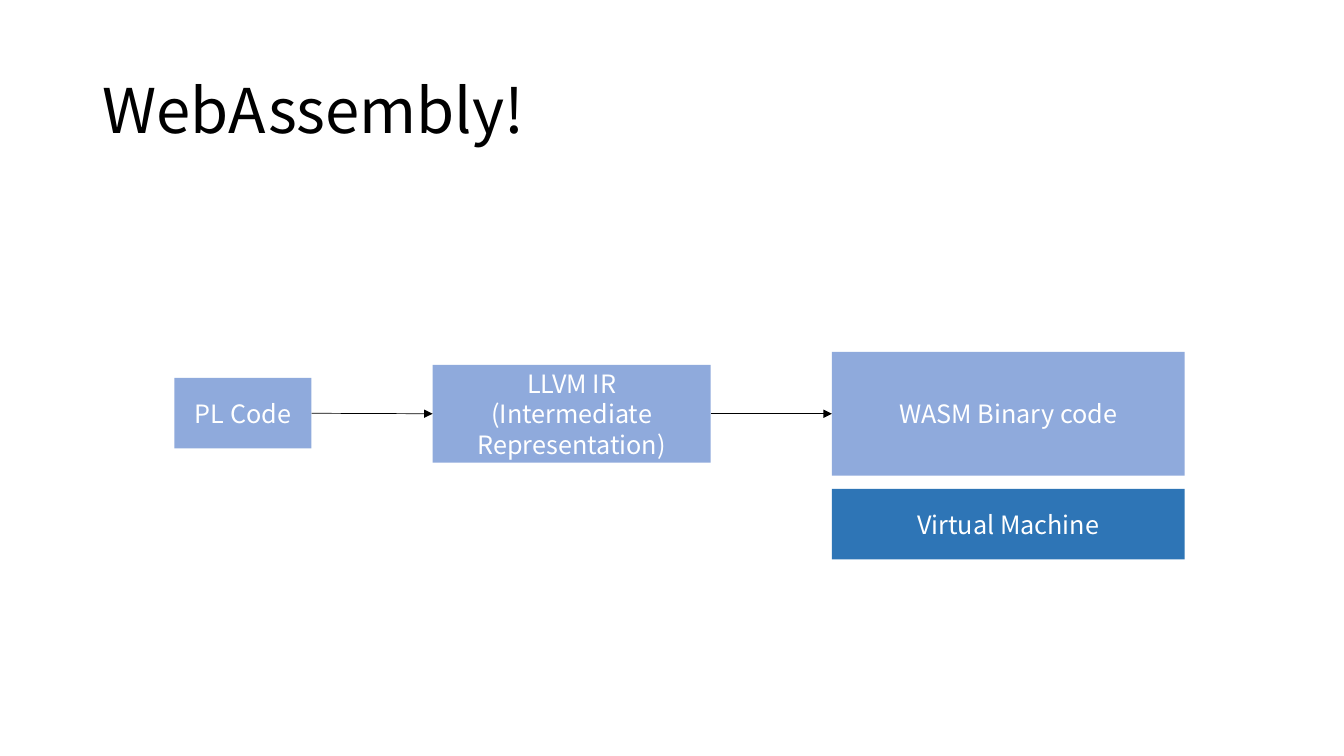
from lxml.etree import SubElement
from pptx import Presentation
from pptx.dml.color import RGBColor as RGB
from pptx.enum.shapes import MSO_CONNECTOR as Link, MSO_SHAPE as Kind
from pptx.enum.text import MSO_ANCHOR as Anchor, PP_ALIGN as Align
from pptx.oxml.ns import qn
from pptx.util import Pt

PX = 9144
FONT = "Noto Sans CJK KR"
BLACK = RGB(0, 0, 0)
WHITE = RGB(255, 255, 255)
PALE = RGB(0x8F, 0xAA, 0xDC)
DEEP = RGB(0x2E, 0x75, 0xB6)

LEFT, MID, GAP = 173, 410, 120
STEPS = [
    ("PL Code", 136, 70),
    ("LLVM IR\n(Intermediate Representation)", 276, 97),
    ("WASM Binary code", 350, 123),
]


def write(shape, text, size, color, look):
    frame = shape.text_frame
    frame.word_wrap = True
    frame.vertical_anchor = Anchor.MIDDLE
    frame.text = text
    for para in frame.paragraphs:
        for name, value in look.items():
            setattr(para, name, value)
        for name, value in {"name": FONT, "size": Pt(size)}.items():
            setattr(para.font, name, value)
        para.font.color.rgb = color


def title(slide, text, *area):
    box = slide.shapes.add_textbox(*(n * PX for n in area))
    write(box, text, 44, BLACK, {"line_spacing": 0.9})


def block(slide, text, fill, *area):
    shape = slide.shapes.add_shape(Kind.RECTANGLE, *(n * PX for n in area))
    shape.shadow.inherit = False
    shape.fill.solid()
    shape.fill.fore_color.rgb = fill
    shape.line.fill.background()
    write(shape, text, 18, WHITE, {"alignment": Align.CENTER})
    return shape


def arrow(slide, start, end):
    line = slide.shapes.add_connector(Link.STRAIGHT, 0, 0, 0, 0)
    line.begin_connect(start, 3)
    line.end_connect(end, 1)
    line.line.color.rgb = BLACK
    line.line.width = Pt(0.5)
    SubElement(line.line._get_or_add_ln(), qn("a:tailEnd"), type="triangle")
    SubElement(line._element.spPr, qn("a:effectLst"))


def main():
    deck = Presentation()
    deck.slide_width, deck.slide_height = 1333 * PX, 750 * PX
    slide = deck.slides.add_slide(deck.slide_layouts[6])
    title(slide, "WebAssembly!", 92, 40, 1150, 145)
    left, blocks = LEFT, []
    for text, width, height in STEPS:
        top = MID - height // 2
        blocks.append(block(slide, text, PALE, left, top, width, height))
        left += width + GAP
    block(slide, "Virtual Machine", DEEP, 825, 485, 350, 70)
    for start, end in zip(blocks, blocks[1:]):
        arrow(slide, start, end)
    deck.save("out.pptx")


if __name__ == "__main__":
    main()
